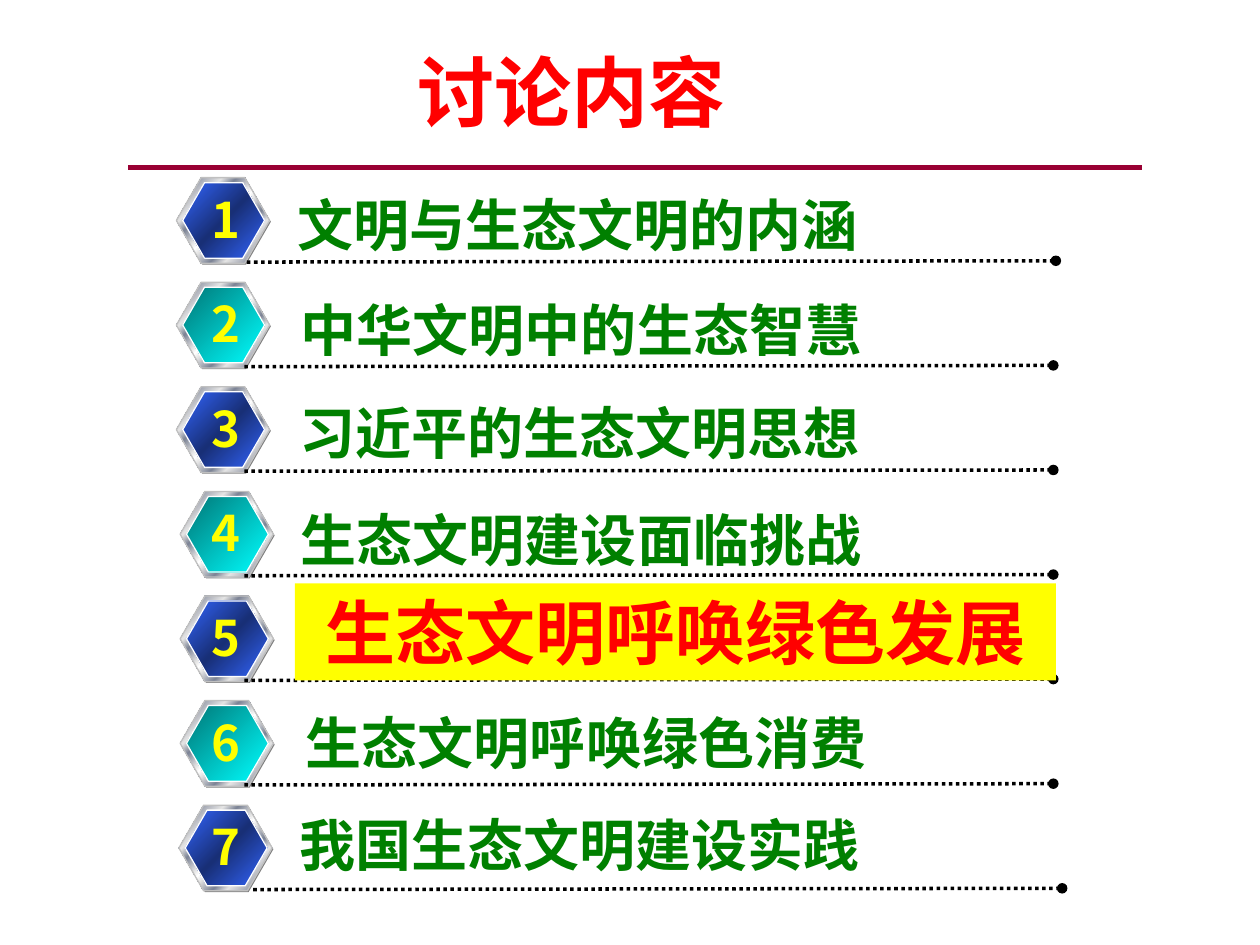
from dataclasses import dataclass

from lxml import etree
from pptx import Presentation
from pptx.dml.color import RGBColor
from pptx.enum.dml import MSO_LINE
from pptx.enum.shapes import MSO_CONNECTOR, MSO_SHAPE
from pptx.enum.text import MSO_ANCHOR, PP_ALIGN
from pptx.oxml.ns import qn
from pptx.util import Inches, Pt

FONT = "Noto Sans CJK SC"
ROW_TOP, ROW_PITCH = 1.41, 0.83

METAL = [(0, "E6E6E6"), (8, "7D8496"), (26, "E6E6E6"), (34, "7D8496"),
         (46, "E6E6E6"), (50, "FFFFFF"), (54, "E6E6E6"), (66, "7D8496"),
         (74, "E6E6E6"), (92, "7D8496"), (100, "E6E6E6")]
BLUE = [(0, "3366FF"), (50, "182F76"), (100, "3366FF")]
TEAL = [(0, "007676"), (100, "00FFFF")]


@dataclass
class Topic:
    """One agenda row; the label offset is measured from the row top."""
    text: str
    badge_left: float
    label_left: float
    label_offset: float
    rule_left: float = 1.94
    highlighted: bool = False


TOPICS = [
    Topic("文明与生态文明的内涵", 1.40, 2.26, 0.05, 1.96),
    Topic("中华文明中的生态智慧", 1.40, 2.29, 0.05),
    Topic("习近平的生态文明思想", 1.40, 2.28, 0.04),
    Topic("生态文明建设面临挑战", 1.43, 2.29, 0.06),
    Topic("生态文明呼唤绿色发展", 1.43, 2.34, -0.10, highlighted=True),
    Topic("生态文明呼唤绿色消费", 1.43, 2.33, 0.01),
    Topic("我国生态文明建设实践", 1.42, 2.28, -0.01, 2.01),
]


def color(hex_value):
    return RGBColor.from_string(hex_value)


def write(shape, text, size, hex_value, align=PP_ALIGN.CENTER,
          anchor=MSO_ANCHOR.MIDDLE, wrap=True):
    frame = shape.text_frame
    frame.text = text
    frame.word_wrap = wrap
    frame.vertical_anchor = anchor
    paragraph = frame.paragraphs[0]
    paragraph.alignment = align
    font = paragraph.runs[0].font
    font.size, font.bold, font.name = Pt(size), True, FONT
    font.color.rgb = color(hex_value)
    east_asian = etree.Element(qn("a:ea"), typeface=FONT)
    paragraph.runs[0]._r.rPr.find(qn("a:latin")).addnext(east_asian)


def fill_gradient(shape, stops, angle=45):
    shape.fill.gradient()
    shape.fill.gradient_angle = -angle % 360
    stop_list = shape._element.spPr.find(qn("a:gradFill")).find(qn("a:gsLst"))
    for old_stop in list(stop_list):
        stop_list.remove(old_stop)
    for position, hex_value in stops:
        stop = etree.SubElement(stop_list, qn("a:gs"), pos=str(position * 1000))
        etree.SubElement(stop, qn("a:srgbClr"), val=hex_value)


def add_rule(slide, start, end, hex_value, width):
    rule = slide.shapes.add_connector(
        MSO_CONNECTOR.STRAIGHT, *(Inches(v) for v in (*start, *end)))
    rule.line.color.rgb = color(hex_value)
    rule.line.width = Pt(width)
    etree.SubElement(rule._element.spPr, qn("a:effectLst"))
    return rule


def add_dotted_rule(slide, left, top):
    """Dotted line that ends in a round dot."""
    rule = add_rule(slide, (left, top), (left + 6.42, top - 0.01), "000000", 2)
    rule.line.dash_style = MSO_LINE.ROUND_DOT
    etree.SubElement(rule.line._get_or_add_ln(), qn("a:tailEnd"), type="oval")


def add_hexagon(group, left, top, width, height):
    hexagon = group.shapes.add_shape(
        MSO_SHAPE.HEXAGON, Inches(left), Inches(top), Inches(width), Inches(height))
    hexagon.adjustments[0] = 0.289
    hexagon.adjustments[1] = 1.155
    hexagon.shadow.inherit = False
    return hexagon


def add_badge(slide, left, top, number, face_stops):
    """Metal-framed hexagon with a number on it."""
    group = slide.shapes.add_group_shape()
    shade = add_hexagon(group, left + 0.01, top + 0.01, 0.74, 0.68)
    shade.fill.solid()
    shade.fill.fore_color.rgb = color("808080")
    shade.line.fill.background()

    frame = add_hexagon(group, left, top, 0.74, 0.68)
    face = add_hexagon(group, left + 0.05, top + 0.04, 0.65, 0.6)
    for hexagon, stops, edge in ((frame, METAL, "C0C0C0"), (face, face_stops, "FFFFFF")):
        fill_gradient(hexagon, stops)
        hexagon.line.color.rgb = color(edge)
        hexagon.line.width = Pt(0.75)

    numeral = slide.shapes.add_textbox(
        Inches(1.58), Inches(top + 0.04), Inches(0.4), Inches(0.57))
    write(numeral, str(number), 28, "FFFF00", wrap=False)


def add_label(slide, topic, top):
    left, top = Inches(topic.label_left), Inches(top + topic.label_offset)
    if topic.highlighted:
        band = slide.shapes.add_shape(
            MSO_SHAPE.RECTANGLE, left, top, Inches(6.04), Inches(0.77))
        band.shadow.inherit = False
        band.fill.solid()
        band.fill.fore_color.rgb = color("FFFF00")
        band.line.fill.background()
        write(band, topic.text, 40, "FF0000")
    else:
        label = slide.shapes.add_textbox(left, top, Inches(5.1), Inches(0.64))
        write(label, topic.text, 32, "008000", align=PP_ALIGN.LEFT)


def add_topic_row(slide, topic, number, top):
    add_badge(slide, topic.badge_left, top, number, BLUE if number % 2 else TEAL)
    add_dotted_rule(slide, topic.rule_left, top + 0.67)
    add_label(slide, topic, top)


def add_heading(slide, left, top, width, height):
    title = slide.shapes.title
    title.left, title.top = Inches(left), Inches(top)
    title.width, title.height = Inches(width), Inches(height)
    write(title, "讨论内容 ", 44, "FF0000", anchor=MSO_ANCHOR.TOP)
    title.text_frame.paragraphs[0].line_spacing = 0.9
    add_rule(slide, (1.02, 1.33), (9.06, 1.33), "990033", 3)


def main():
    deck = Presentation()
    deck.slide_width, deck.slide_height = Inches(10), Inches(7.5)
    slide = deck.slides.add_slide(deck.slide_layouts[5])
    add_heading(slide, 0.11, 0.39, 9, 1.25)
    for index, topic in enumerate(TOPICS):
        add_topic_row(slide, topic, index + 1, ROW_TOP + index * ROW_PITCH)
    deck.save("out.pptx")


if __name__ == "__main__":
    main()
